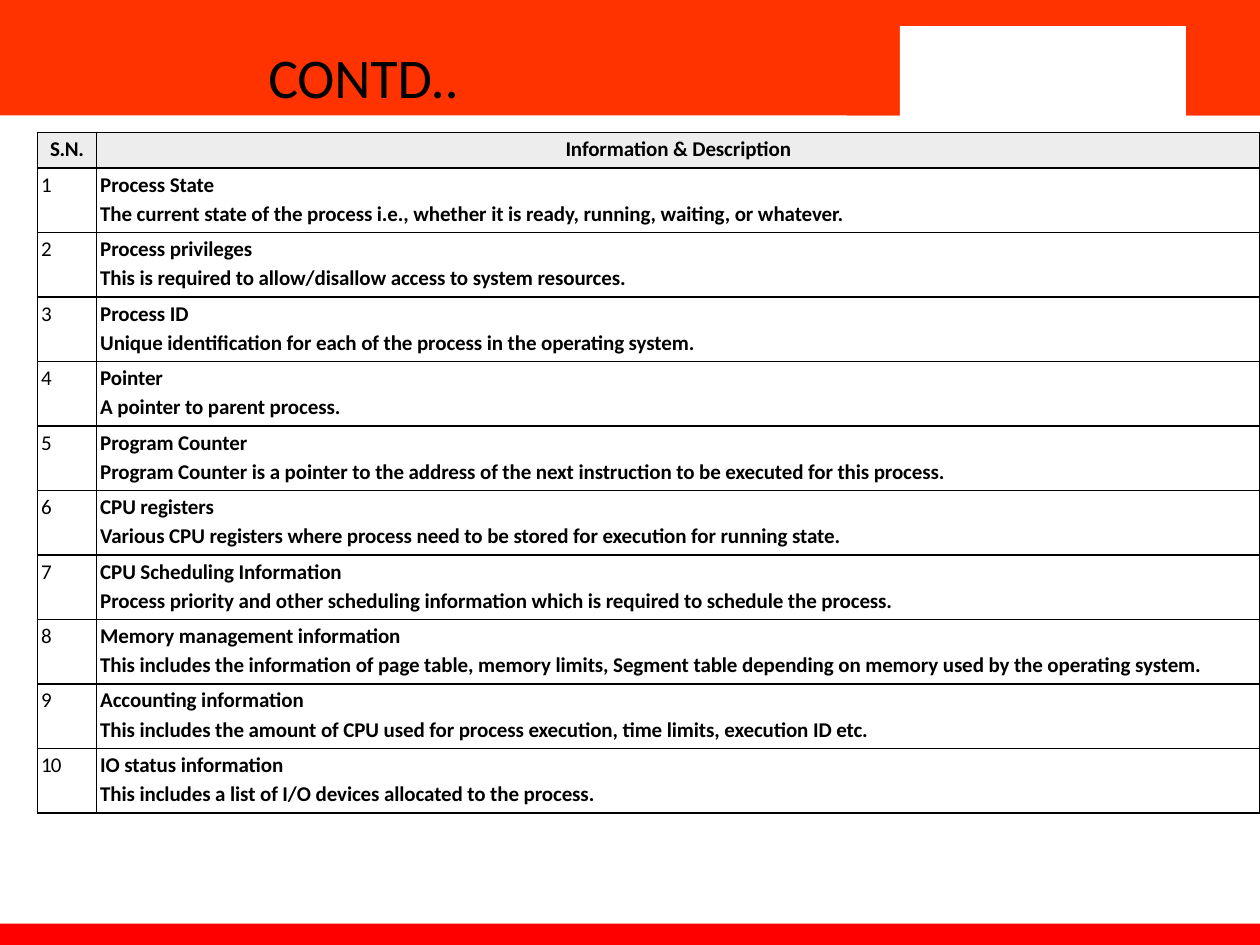
from lxml.etree import SubElement
from pptx import Presentation
from pptx.dml.color import RGBColor
from pptx.enum.shapes import MSO_SHAPE
from pptx.enum.text import MSO_ANCHOR, PP_ALIGN
from pptx.oxml.ns import qn
from pptx.util import Cm, Pt

COLORS = {
    "header": "FF3300",
    "footer": "FF0000",
    "panel": "FFFFFF",
    "heading": "EDEDED",
    "ink": "000000",
}
FONT = "Calibri"
SLIDE_WIDTH, SLIDE_HEIGHT = 25.4, 19.05
BANDS = [
    ("header", 0, 0, SLIDE_WIDTH, 2.33),
    ("footer", 0, 18.62, SLIDE_WIDTH, 0.55),
    ("header", 17.07, 0, 8.33, 2.33),
    ("panel", 18.14, 0.53, 5.77, 1.9),
]
TITLE = "CONTD.."
HEADINGS = ("S.N.", "Information & Description")
ENTRIES = [
    ("Process State",
     "The current state of the process i.e., whether it is ready, running, waiting, or whatever."),
    ("Process privileges",
     "This is required to allow/disallow access to system resources."),
    ("Process ID",
     "Unique identification for each of the process in the operating system."),
    ("Pointer",
     "A pointer to parent process."),
    ("Program Counter",
     "Program Counter is a pointer to the address of the next instruction to be executed for this process."),
    ("CPU registers",
     "Various CPU registers where process need to be stored for execution for running state."),
    ("CPU Scheduling Information",
     "Process priority and other scheduling information which is required to schedule the process."),
    ("Memory management information",
     "This includes the information of page table, memory limits, Segment table depending on memory "
     "used by the operating system."),
    ("Accounting information",
     "This includes the amount of CPU used for process execution, time limits, execution ID etc."),
    ("IO status information",
     "This includes a list of I/O devices allocated to the process."),
]
TABLE_LEFT, TABLE_TOP = 0.76, 2.67
COLUMN_WIDTHS = (1.19, 23.45)
HEADING_HEIGHT, ENTRY_HEIGHT = 0.72, 1.3


def write(frame, *lines, size=12, bold=True, align=PP_ALIGN.LEFT, before=(2.4, 2.1), spacing=-5):
    for index, line in enumerate(lines):
        paragraph = frame.paragraphs[0] if index == 0 else frame.add_paragraph()
        paragraph.alignment = align
        paragraph.space_before = Pt(before[index])
        run = paragraph.add_run()
        run.text = line
        run.font.name = FONT
        run.font.size = Pt(size)
        run.font.bold = bold
        run.font.color.rgb = RGBColor.from_string(COLORS["ink"])
        run.font._element.set("spc", str(spacing))


def set_margins(target, left=0, top=0):
    target.margin_left, target.margin_top = Cm(left), Cm(top)
    target.margin_right = target.margin_bottom = 0


def add_band(slide, color, left, top, width, height):
    shape = slide.shapes.add_shape(MSO_SHAPE.RECTANGLE, Cm(left), Cm(top), Cm(width), Cm(height))
    shape.shadow.inherit = False
    shape.fill.solid()
    shape.fill.fore_color.rgb = RGBColor.from_string(COLORS[color])
    shape.line.fill.background()


def add_title(slide):
    box = slide.shapes.add_textbox(Cm(5.38), Cm(0.81), Cm(4.01), Cm(1.42))
    frame = box.text_frame
    frame.word_wrap = True
    frame.vertical_anchor = MSO_ANCHOR.MIDDLE
    set_margins(frame, left=0.03, top=0.03)
    write(frame, TITLE, size=32, bold=False, before=(1,), spacing=-10)


def format_cell(cell, *lines, left=0.07, fill=None, **text_format):
    set_margins(cell, left=left, top=0.08)
    properties = cell._tc.get_or_add_tcPr()
    for side in ("lnL", "lnR", "lnT", "lnB"):
        border = SubElement(properties, qn(f"a:{side}"), w=str(Pt(1)))
        color = SubElement(SubElement(border, qn("a:solidFill")), qn("a:srgbClr"))
        color.set("val", COLORS["ink"])
    if fill:
        cell.fill.solid()
        cell.fill.fore_color.rgb = RGBColor.from_string(COLORS[fill])
    else:
        cell.fill.background()
    write(cell.text_frame, *lines, **text_format)


def add_information_table(slide):
    heights = [HEADING_HEIGHT] + [ENTRY_HEIGHT] * len(ENTRIES)
    table = slide.shapes.add_table(
        len(heights), len(COLUMN_WIDTHS), Cm(TABLE_LEFT), Cm(TABLE_TOP),
        Cm(sum(COLUMN_WIDTHS)), Cm(sum(heights))).table
    table.first_row = table.horz_banding = False
    for column, width in zip(table.columns, COLUMN_WIDTHS):
        column.width = Cm(width)
    for row, height in zip(table.rows, heights):
        row.height = Cm(height)
    format_cell(table.cell(0, 0), HEADINGS[0], left=0.25, fill="heading", spacing=-20)
    format_cell(table.cell(0, 1), HEADINGS[1], left=0, fill="heading", align=PP_ALIGN.CENTER)
    for number, entry in enumerate(ENTRIES, start=1):
        format_cell(table.cell(number, 0), str(number), bold=False, spacing=-50)
        format_cell(table.cell(number, 1), *entry)


def main():
    presentation = Presentation()
    presentation.slide_width, presentation.slide_height = Cm(SLIDE_WIDTH), Cm(SLIDE_HEIGHT)
    slide = presentation.slides.add_slide(presentation.slide_layouts[6])
    for band in BANDS:
        add_band(slide, *band)
    add_title(slide)
    add_information_table(slide)
    presentation.save("out.pptx")


if __name__ == "__main__":
    main()
